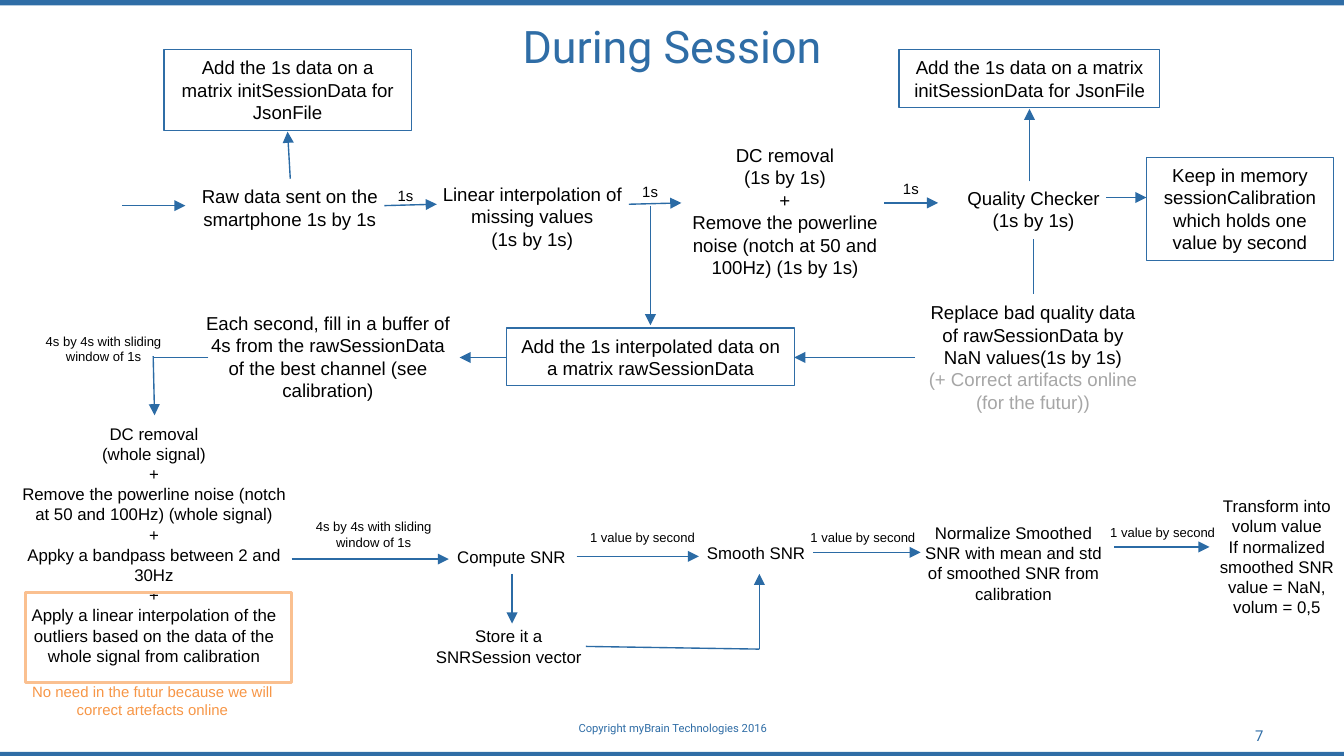
"""Build the slide that charts the data flow during a session."""
from lxml.etree import SubElement
from pptx import Presentation
from pptx.dml.color import RGBColor
from pptx.enum.shapes import MSO_CONNECTOR as Link, MSO_SHAPE as Kind
from pptx.enum.text import MSO_ANCHOR as Anchor, MSO_AUTO_SIZE as Fit, PP_ALIGN as Align
from pptx.oxml.ns import qn
from pptx.util import Inches, Pt

WIDE = 10
HIGH = WIDE * 9 / 16
BLUE, INK, ARROW = "2F6DA6", "000000", "2B6BA5"
GREY, PEACH, ORANGE = "A6A6A6", "FAC090", "F79646"
TITLE = "During Session"
FOOT = "Copyright myBrain Technologies 2016"
MATRIX = "Add the 1s data on a matrix initSessionData for JsonFile"
WINDOW = "4s by 4s with sliding window of 1s"
VALUE = "1 value by second"

# text, left, top, width, lines
FRAMES = [
    (MATRIX, 1.22, 0.37, 1.84, 3),
    (MATRIX, 6.69, 0.37, 1.94, 2),
    ("Add the 1s interpolated data on a matrix rawSessionData", 3.77, 2.44, 2.14, 2),
    ("Keep in memory sessionCalibration which holds one value by second",
     8.53, 1.17, 1.39, 4),
]
STEPS = {
    10: [
        ("Raw data sent on the smartphone 1s by 1s", 1.15, 1.33, 2.01, 2),
        ("Linear interpolation of missing values\n(1s by 1s)", 3.16, 1.31, 1.6, 3),
        ("DC removal\n(1s by 1s)\n+\nRemove the powerline noise "
         "(notch at 50 and 100Hz) (1s by 1s)", 4.94, 1.02, 1.8, 6),
        ("Quality Checker\n(1s by 1s)", 6.89, 1.34, 1.6, 2),
        ("Each second, fill in a buffer of 4s from the rawSessionData "
         "of the best channel (see calibration)", 1.41, 2.27, 2.06, 4),
    ],
    9: [
        ("DC removal\n(whole signal)\n+\nRemove the powerline noise (notch at 50 "
         "and 100Hz) (whole signal)\n+\nAppky a bandpass between 2 and 30Hz\n+\n"
         "Apply a linear interpolation of the outliers based on the data "
         "of the whole signal from calibration", 0.02, 3.1, 2.25, 12),
        ("Compute SNR", 3.13, 4.02, 1.35, 1),
        ("Smooth SNR", 4.95, 3.99, 1.35, 1),
        ("Store it a SNRSession vector", 3.11, 4.61, 1.35, 2),
        ("Normalize Smoothed SNR with mean and std of smoothed SNR from calibration",
         6.75, 3.84, 1.58, 4),
        ("Transform into volum value\nIf normalized smoothed SNR value = NaN, "
         "volum = 0,5", 8.96, 3.64, 1.08, 6),
    ],
    7: [
        (WINDOW, 0.16, 2.43, 1.22, 2),
        (WINDOW, 2.17, 3.81, 1.22, 2),
        (VALUE, 4.17, 3.89, 1.22, 1),
        (VALUE, 5.81, 3.89, 1.22, 1),
        (VALUE, 8.04, 3.85, 1.22, 1),
    ],
}
TICKS = [(2.86, 1.34), (4.68, 1.31), (6.62, 1.29)]
REPAIR = ("Replace bad quality data of rawSessionData by NaN values(1s by 1s)\n"
          "(+ Correct artifacts online (for the futur))", 6.81, 2.19, 1.75, 5)
REMARK = ("No need in the futur because we will correct artefacts online",
          0.08, 5.03, 2.11, 2)
ARROWS = [
    (0.91, 1.53, 1.38, 1.53), (2.86, 1.53, 3.25, 1.52), (4.68, 1.52, 5.07, 1.51),
    (6.58, 1.51, 6.98, 1.51), (8.23, 1.47, 8.53, 1.47), (2.16, 1.33, 2.14, 0.98),
    (7.66, 1.35, 7.66, 0.81), (4.84, 1.53, 4.84, 2.42), (6.81, 2.66, 5.91, 2.66),
    (3.77, 2.66, 3.42, 2.66), (1.14, 2.65, 1.15, 3.09), (2.17, 4.16, 3.34, 4.16),
    (4.29, 4.14, 5.2, 4.14), (6.05, 4.11, 6.85, 4.11), (8.29, 4.07, 9, 4.07),
    (3.81, 4.27, 3.81, 4.64), (5.65, 4.83, 5.65, 4.27),
]
LINES = [(7.69, 1.78, 7.69, 2.19), (1.55, 2.66, 1.14, 2.66), (4.36, 4.81, 5.65, 4.83)]


def tint(code):
    return RGBColor.from_string(code)


def style(frame, size, color=INK, font="Arial", align=Align.CENTER, anchor=Anchor.TOP):
    frame.word_wrap = True
    frame.vertical_anchor = anchor
    for para in frame.paragraphs:
        para.alignment = align
        for run in para.runs:
            run.font.size, run.font.name = Pt(size), font
            run.font.color.rgb = tint(color)


def rect(area, fill=None, line=None, width=0.75):
    box = slide.shapes.add_shape(Kind.RECTANGLE, *map(Inches, area))
    box.shadow.inherit = False
    if fill:
        box.fill.solid()
        box.fill.fore_color.rgb = tint(fill)
    else:
        box.fill.background()
    if line:
        box.line.color.rgb, box.line.width = tint(line), Pt(width)
    else:
        box.line.fill.background()
    return box


def label(text, area, size, **look):
    box = slide.shapes.add_textbox(*map(Inches, area))
    box.text_frame.text = text
    style(box.text_frame, size, **look)
    return box.text_frame


def tall(lines, size):
    return round(0.1 + lines * size * 1.2 / 72, 2)


def step(item, size, **look):
    text, left, top, width, lines = item
    frame = label(text, (left, top, width, tall(lines, size)), size, **look)
    frame.auto_size = Fit.SHAPE_TO_FIT_TEXT
    return frame


def link(ends, head):
    line = slide.shapes.add_connector(Link.STRAIGHT, *map(Inches, ends))
    line.line.color.rgb, line.line.width = tint(ARROW), Pt(0.75)
    props = line._element.spPr
    if head:
        SubElement(props.find(qn("a:ln")), qn("a:tailEnd"), type="triangle")
    SubElement(props, qn("a:effectLst"))


deck = Presentation()
deck.slide_width, deck.slide_height = Inches(WIDE), Inches(HIGH)
slide = deck.slides.add_slide(deck.slide_layouts[5])

for top in (HIGH - 0.03, 0):
    rect((0, top, WIDE, 0.04), fill=BLUE)

title = slide.shapes.title
title.left, title.top, title.width, title.height = map(Inches, (1.18, 0.08, 7.64, 0.52))
title.text_frame.text = TITLE
style(title.text_frame, 24, BLUE, "Roboto", anchor=Anchor.MIDDLE)
label(FOOT, (3.42, 5.32, 3.17, 0.3), 6, color=BLUE, font="Roboto")
label("7", (7.17, 5.32, 2.33, 0.3), 8, color=BLUE, font="Roboto",
      align=Align.RIGHT, anchor=Anchor.MIDDLE)

for text, left, top, width, lines in FRAMES:
    box = rect((left, top, width, tall(lines, 10)), line=BLUE)
    box.text_frame.text = text
    style(box.text_frame, 10)
    box.text_frame.auto_size = Fit.SHAPE_TO_FIT_TEXT
for size, items in STEPS.items():
    for item in items:
        step(item, size)
for left, top in TICKS:
    step(("1s", left, top, 0.32, 1), 8, align=Align.LEFT).word_wrap = False

future = step(REPAIR, 10).paragraphs[-1]
future.runs[0].font.color.rgb = tint(GREY)
for ends in ARROWS:
    link(ends, True)
for ends in LINES:
    link(ends, False)
rect((0.19, 4.41, 1.98, 0.67), line=PEACH, width=2)
step(REMARK, 8, color=ORANGE)

deck.save("out.pptx")
